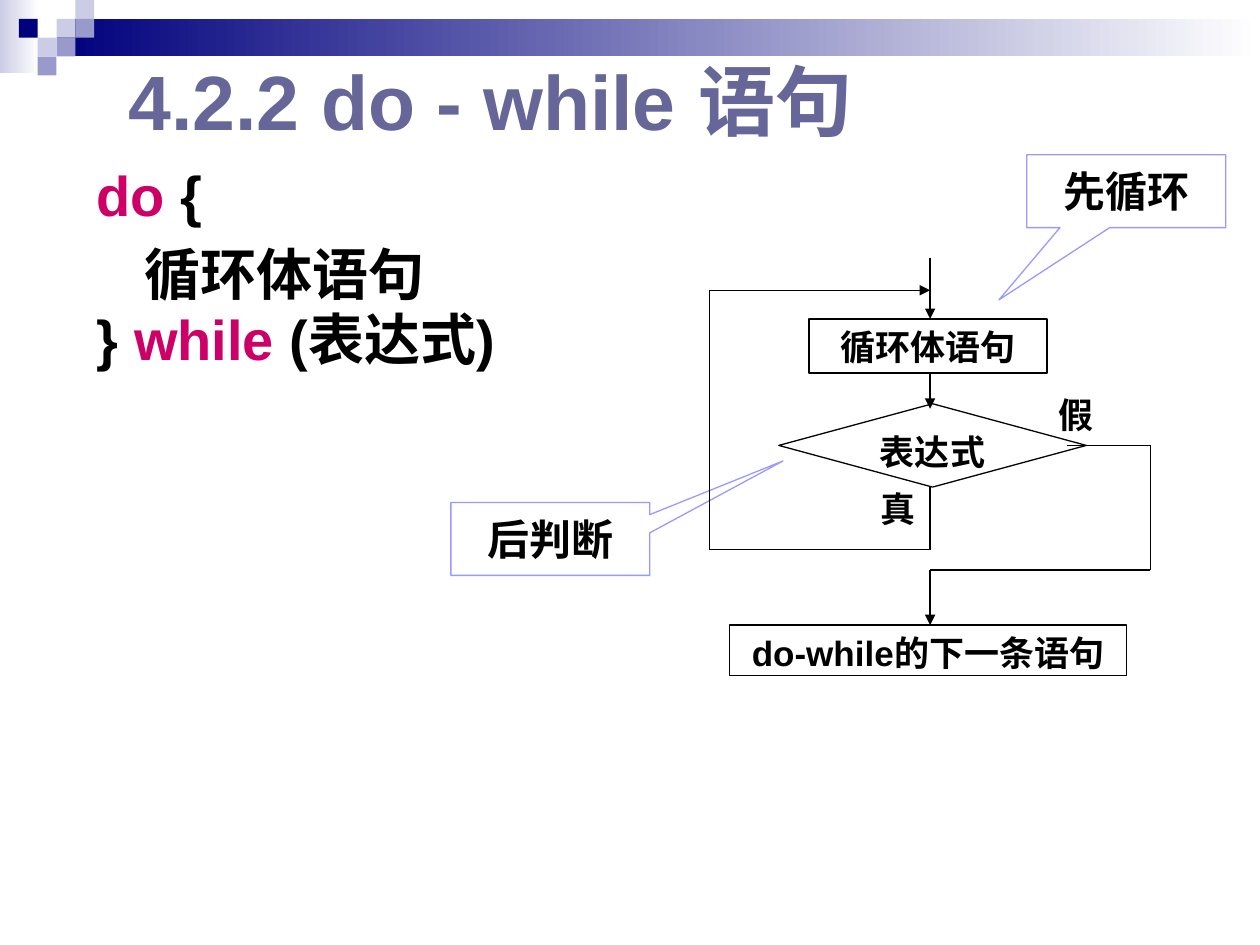
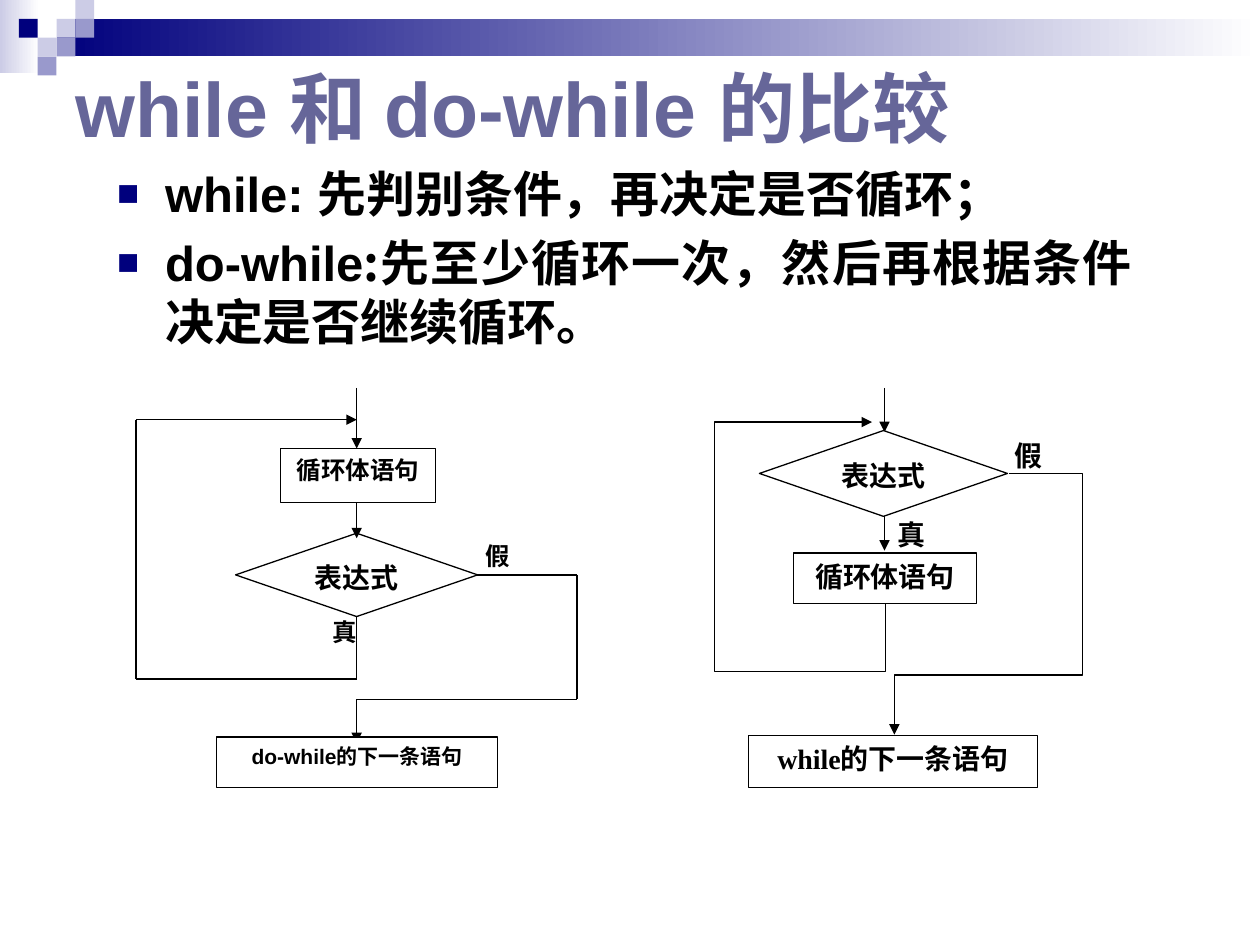
import dataclasses

import pptx
import pptx.dml.color
import pptx.enum.dml
import pptx.enum.shapes
import pptx.enum.text
import pptx.oxml
import pptx.oxml.ns
import pptx.util

Cm = pptx.util.Cm
Pt = pptx.util.Pt
RGBColor = pptx.dml.color.RGBColor
SHAPE = pptx.enum.shapes.MSO_SHAPE
ALIGN = pptx.enum.text.PP_ALIGN
ANCHOR = pptx.enum.text.MSO_ANCHOR

NAVY = RGBColor(0x00, 0x00, 0x7D)
LAVENDER = RGBColor(0xCC, 0xCC, 0xE6)
VIOLET = RGBColor(0x99, 0x99, 0xCC)
CALLOUT_BLUE = RGBColor(0x99, 0x99, 0xFF)
TITLE_COLOR = RGBColor(0x66, 0x66, 0x99)
KEYWORD = RGBColor(0xCC, 0x00, 0x66)
BLACK = RGBColor(0x00, 0x00, 0x00)
WHITE = RGBColor(0xFF, 0xFF, 0xFF)

SANS = "Arial"
SERIF = "Times New Roman"
CHINESE = "Noto Sans CJK SC"
TILE = 0.38
TILES = [(3, 1, LAVENDER), (4, 0, LAVENDER), (4, 1, VIOLET), (2, 2, LAVENDER),
         (1, 1, NAVY), (3, 2, VIOLET), (2, 3, VIOLET)]


@dataclasses.dataclass
class DoWhileStyle:
    label_size: int
    test_size: int
    exit_size: int
    body: tuple
    test: tuple
    exit: tuple
    exit_tip: float
    true_left: float
    false_spot: tuple
    false_start: float


LARGE_CHART = DoWhileStyle(
    label_size=20, test_size=20, exit_size=20, body=(2.01, 4.8), test=(1.4, 6.2),
    exit=(0.41, 7.39, 8.0), exit_tip=7.39, true_left=3.2, false_spot=(6.58, 2.59),
    false_start=7.21)
SMALL_CHART = DoWhileStyle(
    label_size=14, test_size=16, exit_size=12, body=(2.92, 3.12), test=(2.01, 4.88),
    exit=(1.63, 7.04, 5.66), exit_tip=7.16, true_left=3.63, false_spot=(6.48, 2.97),
    false_start=6.88)


def add_span(para, text, size, color=BLACK, font=SANS):
    span = para.add_run()
    span.text = text
    span.font.size = Pt(size)
    span.font.bold = True
    span.font.name = font
    span.font.color.rgb = color
    east_asian = pptx.oxml.parse_xml(
        f'<a:ea {pptx.oxml.ns.nsdecls("a")} typeface="{CHINESE}"/>')
    span.font._element.find(pptx.oxml.ns.qn("a:latin")).addnext(east_asian)


def add_box(page, kind, left, top, width, height, fill=WHITE, line=None):
    box = page.shapes.add_shape(kind, Cm(left), Cm(top), Cm(width), Cm(height))
    box.shadow.inherit = False
    if fill is not None:
        box.fill.solid()
        box.fill.fore_color.rgb = fill
    if line is None:
        box.line.fill.background()
    else:
        box.line.color.rgb = line
        box.line.width = Pt(0.75)
    return box


def write_centred(box, text, size, font=SANS, anchor=ANCHOR.TOP):
    box.text_frame.word_wrap = True
    box.text_frame.vertical_anchor = anchor
    para = box.text_frame.paragraphs[0]
    para.alignment = ALIGN.CENTER
    add_span(para, text, size, font=font)


def style_line(shape, arrow):
    shape.line.color.rgb = BLACK
    shape.line.width = Pt(0.75)
    if arrow:
        shape.line._get_or_add_ln().append(pptx.oxml.parse_xml(
            f'<a:tailEnd {pptx.oxml.ns.nsdecls("a")} type="triangle"/>'))


class Chart:
    def __init__(self, page, left, top, font):
        self.page, self.left, self.top, self.font = page, left, top, font

    def node(self, kind, text, size, left, top, width, height, line=BLACK):
        box = add_box(self.page, kind, self.left + left, self.top + top,
                      width, height, line=line)
        write_centred(box, text, size, self.font)

    def label(self, text, size, left, top, width, height):
        self.node(SHAPE.RECTANGLE, text, size, left, top, width, height, None)

    def line(self, start, end, arrow=False):
        points = [Cm(base + offset) for point in (start, end)
                  for base, offset in zip((self.left, self.top), point)]
        link = self.page.shapes.add_connector(
            pptx.enum.shapes.MSO_CONNECTOR.STRAIGHT, *points)
        style_line(link, arrow)
        link._element.spPr.append(pptx.oxml.parse_xml(
            f'<a:effectLst {pptx.oxml.ns.nsdecls("a")}/>'))

    def route(self, *points):
        corners = [(Cm(self.left + x), Cm(self.top + y)) for x, y in points]
        builder = self.page.shapes.build_freeform(*corners[0])
        builder.add_line_segments(corners[1:], close=False)
        outline = builder.convert_to_shape()
        outline.shadow.inherit = False
        outline.fill.background()
        style_line(outline, True)


def draw_do_while(page, left, top, style):
    chart = Chart(page, left, top, SANS)
    axis, right = 4.45, 8.89
    loop_top, body_top, test_top, test_middle = 0.64, 1.22, 2.93, 3.77
    body_bottom, test_bottom, loop_bottom, merge = 2.31, 4.61, 5.87, 6.28
    chart.label("真", style.label_size, style.true_left, 4.5, 1.17, 1.09)
    chart.label("假", style.label_size, *style.false_spot, 1.63, 1.09)
    test_left, test_width = style.test
    chart.node(SHAPE.FLOWCHART_DECISION, "表达式", style.test_size,
               test_left, test_top, test_width, test_bottom - test_top)
    body_left, body_width = style.body
    chart.node(SHAPE.RECTANGLE, "循环体语句", style.label_size,
               body_left, body_top, body_width, body_bottom - body_top)
    chart.line((axis, 0), (axis, body_top), True)
    chart.line((axis, body_bottom), (axis, test_top + 0.1), True)
    chart.line((axis, test_bottom), (axis, loop_bottom))
    chart.line((0, loop_bottom), (axis, loop_bottom))
    chart.line((0, loop_bottom), (0, loop_top))
    chart.line((0, loop_top), (axis, loop_top), True)
    chart.line((style.false_start, test_middle), (right, test_middle))
    chart.line((right, test_middle), (right, merge))
    chart.line((axis, merge), (right, merge))
    chart.line((axis, merge), (axis, style.exit_tip), True)
    chart.node(SHAPE.RECTANGLE, "do-while的下一条语句", style.exit_size, *style.exit, 1.02)


def draw_while(page, left, top):
    chart = Chart(page, left, top, SERIF)
    axis, size = 3.43, 16
    chart.label("真", size, 2.49, 2.49, 2.97, 1.04)
    chart.label("假", size, 5.08, 0.89, 2.51, 1.04)
    chart.line((axis, 2.59), (axis, 3.28), True)
    chart.node(SHAPE.RECTANGLE, "while的下一条语句", size, 0.69, 7.01, 5.82, 1.04)
    chart.line((axis, 0), (axis, 0.89), True)
    chart.node(SHAPE.FLOWCHART_DECISION, "表达式", size, 0.91, 0.86, 5, 1.73)
    chart.node(SHAPE.RECTANGLE, "循环体语句", size, 1.6, 3.33, 3.68, 1.02)
    chart.route((5.94, 1.73), (7.42, 1.73), (7.42, 5.79), (3.63, 5.79), (3.63, 6.99))
    chart.route((3.45, 4.34), (3.45, 5.72), (0, 5.72), (0, 0.69), (3.18, 0.69))


def draw_band(page):
    for color, area in ((LAVENDER, (0, 0, 0.79, 1.47)),
                        (NAVY, (3 * TILE, TILE, 25.4 - 3 * TILE, 2 * TILE))):
        strip = add_box(page, SHAPE.RECTANGLE, *area, fill=None)
        strip.fill.gradient()
        strip.fill.gradient_angle = 0
        for stop, shade in zip(strip.fill.gradient_stops, (color, WHITE)):
            stop.color.rgb = shade
    for column, row, color in TILES:
        add_box(page, SHAPE.RECTANGLE, column * TILE, row * TILE, TILE, TILE, color)


def add_page(deck, title, left, top, width, height):
    page = deck.slides.add_slide(deck.slide_layouts[5])
    draw_band(page)
    heading = page.shapes.title
    heading.left, heading.top = Cm(left), Cm(top)
    heading.width, heading.height = Cm(width), Cm(height)
    frame = heading.text_frame
    frame.auto_size = pptx.enum.text.MSO_AUTO_SIZE.NONE
    frame.vertical_anchor = ANCHOR.MIDDLE
    frame.paragraphs[0].alignment = ALIGN.LEFT
    add_span(frame.paragraphs[0], title, 44, TITLE_COLOR)
    return page


def add_paragraphs(page, area, count, space):
    frame = page.shapes.add_textbox(*map(Cm, area)).text_frame
    frame.word_wrap = True
    paras = [frame.paragraphs[0]] + [frame.add_paragraph() for _ in range(count - 1)]
    for para in paras:
        para.alignment = ALIGN.JUSTIFY
        para.space_before = Pt(space)
    return paras


def indent(para, margin, first=0):
    properties = para._p.get_or_add_pPr()
    properties.set("marL", str(Cm(margin)))
    properties.set("indent", str(Cm(first)))
    return properties


def draw_syntax(page, *area):
    lines = [[("do", KEYWORD), (" {", BLACK)],
             [("循环体语句", BLACK)],
             [("} ", BLACK), ("while ", KEYWORD), ("(表达式)", BLACK)]]
    paras = add_paragraphs(page, area, len(lines), 6.4)
    indent(paras[1], 0.97)
    paras[2].line_spacing = 0.8
    for para, spans in zip(paras, lines):
        for text, color in spans:
            add_span(para, text, 32, color)


def draw_comparison(page, *area):
    points = [[("while: ", SANS), ("先判别条件，再决定是否循环；", CHINESE)],
              [("do-while", SANS),
               (":先至少循环一次，然后再根据条件决定是否继续循环。", CHINESE)]]
    for para, spans in zip(add_paragraphs(page, area, len(points), 5.6), points):
        properties = indent(para, 0.97, -0.97)
        for bullet in (f'buClr {{}}><a:srgbClr val="{NAVY}"/></a:buClr',
                       'buSzPct {} val="75000"/', f'buFont {{}} typeface="{SANS}"/',
                       'buChar {} char="■"/'):
            properties.append(pptx.oxml.parse_xml(
                f'<a:{bullet.format(pptx.oxml.ns.nsdecls("a"))}>'))
        for text, font in spans:
            add_span(para, text, 28, font=font)


def draw_callout(page, text, left, top, pointer):
    box = add_box(page, SHAPE.RECTANGULAR_CALLOUT, left, top, 4.01, 1.47, line=CALLOUT_BLUE)
    for index, value in enumerate(pointer):
        box.adjustments[index] = value
    write_centred(box, text, 24, SERIF, ANCHOR.MIDDLE)


def main():
    deck = pptx.Presentation()
    deck.slide_width, deck.slide_height = Cm(25.4), Cm(19.05)

    syntax_page = add_page(deck, "4.2.2 do - while 语句", 2.34, 0.64, 16.38, 2.74)
    draw_syntax(syntax_page, 1.7, 3.12, 11.15, 5.08)
    draw_callout(syntax_page, "先循环", 20.7, 3.12, (-0.64, 1.49))
    draw_callout(syntax_page, "后判断", 9.09, 10.13, (1.17, -1.07))
    draw_do_while(syntax_page, 14.3, 5.21, LARGE_CHART)

    comparison_page = add_page(deck, "while 和 do-while 的比较", 1.27, 1.27, 19.63, 1.78)
    draw_comparison(comparison_page, 2.11, 3.18, 20.96, 4.45)
    draw_do_while(comparison_page, 2.74, 7.82, SMALL_CHART)
    draw_while(comparison_page, 14.4, 7.82)

    deck.save("out.pptx")


if __name__ == "__main__":
    main()
